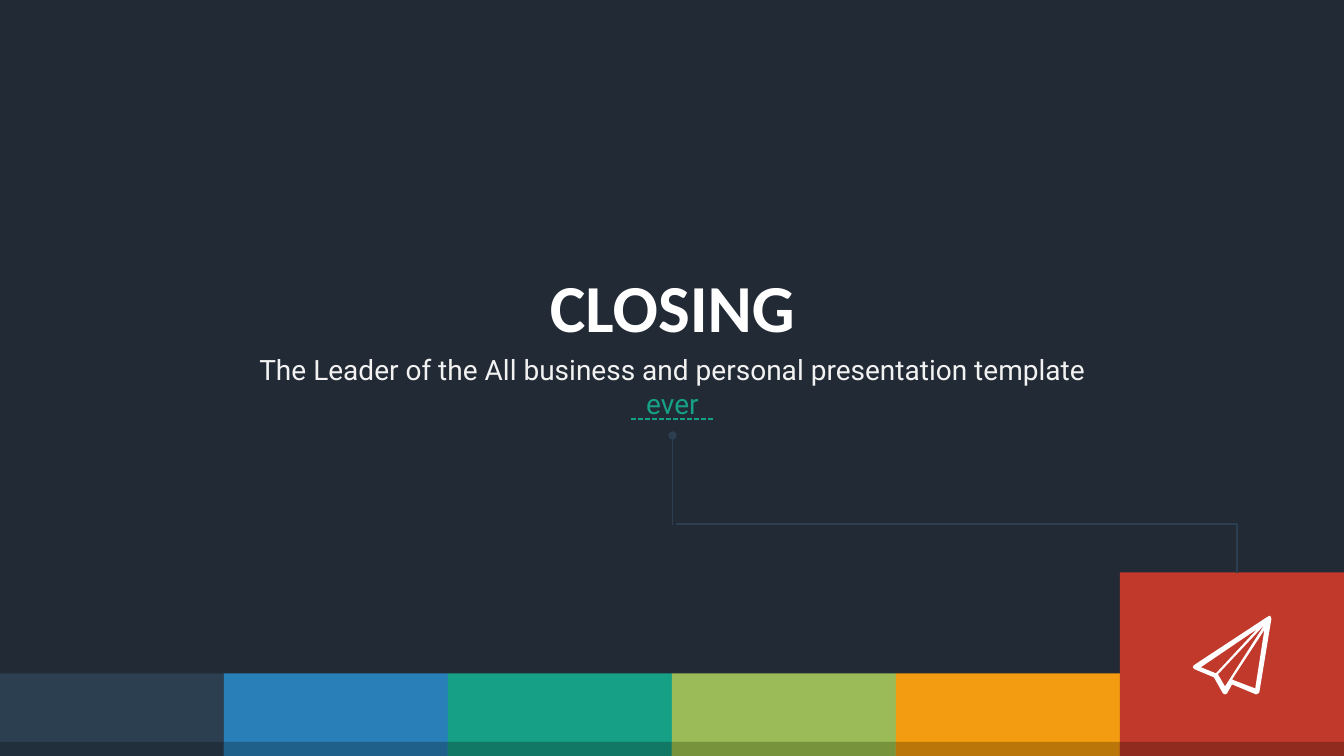
from lxml import etree
from pptx import Presentation
from pptx.dml.color import RGBColor
from pptx.enum.dml import MSO_LINE
from pptx.enum.shapes import MSO_CONNECTOR, MSO_SHAPE
from pptx.enum.text import MSO_AUTO_SIZE, PP_ALIGN
from pptx.oxml.ns import qn
from pptx.util import Inches, Pt

BACKGROUND = RGBColor(0x22, 0x2A, 0x35)
WHITE = RGBColor(0xFF, 0xFF, 0xFF)
OFF_WHITE = RGBColor(0xF2, 0xF2, 0xF2)
NAVY = RGBColor(0x2C, 0x3F, 0x50)
TEAL = RGBColor(0x16, 0xA0, 0x85)
RED = RGBColor(0xC0, 0x39, 0x2B)
TILES = [
    (NAVY, RGBColor(0x21, 0x2F, 0x3C)),
    (RGBColor(0x29, 0x80, 0xB9), RGBColor(0x1F, 0x60, 0x8B)),
    (TEAL, RGBColor(0x10, 0x78, 0x64)),
    (RGBColor(0x9B, 0xBB, 0x59), RGBColor(0x77, 0x93, 0x3C)),
    (RGBColor(0xF3, 0x9C, 0x12), RGBColor(0xBA, 0x76, 0x09)),
    (RED, RGBColor(0x90, 0x2B, 0x20)),
]

deck = Presentation()
deck.slide_width = Inches(13.33)
deck.slide_height = Inches(7.5)
page = deck.slides.add_slide(deck.slide_layouts[6])
page.background.fill.solid()
page.background.fill.fore_color.rgb = BACKGROUND


def paint(shape, color):
    shape.shadow.inherit = False
    shape.fill.solid()
    shape.fill.fore_color.rgb = color
    shape.line.fill.background()


tile_width = 13.33 / len(TILES)
for index, (color, shade) in enumerate(TILES):
    tile_top = 5.68 if color == RED else 6.68
    for top, bottom, fill in ((tile_top, 7.62, color), (7.36, 7.51, shade)):
        tile = page.shapes.add_shape(
            MSO_SHAPE.RECTANGLE, Inches(index * tile_width), Inches(top),
            Inches(tile_width), Inches(bottom - top))
        paint(tile, fill)

LINES = [
    (6.7, 5.2, 12.27, 5.2, NAVY),
    (12.27, 5.2, 12.27, 5.68, NAVY),
    (6.67, 4.32, 6.67, 5.21, NAVY),
    (6.26, 4.16, 7.07, 4.16, TEAL),
]
for x1, y1, x2, y2, color in LINES:
    line = page.shapes.add_connector(
        MSO_CONNECTOR.STRAIGHT, Inches(x1), Inches(y1), Inches(x2), Inches(y2))
    line.line.color.rgb = color
    line.line.width = Pt(1.25)
    if color == TEAL:
        line.line.dash_style = MSO_LINE.SQUARE_DOT
    if y1 == 4.32:
        etree.SubElement(line.line._get_or_add_ln(), qn("a:headEnd"), type="oval")
    etree.SubElement(line._element.spPr, qn("a:effectLst"))

TEXTS = [
    ((5.34, 2.58, 2.66, 0.91), False, "Calibri", 48, True, [("CLOSING", WHITE)]),
    ((2.33, 3.45, 8.68, 0.44), True, "Roboto", 20, False, [
        ("The Leader of the All business and personal presentation template ", OFF_WHITE),
        ("ever", TEAL)]),
]
for place, wrap, font, size, bold, spans in TEXTS:
    box = page.shapes.add_textbox(*map(Inches, place))
    box.text_frame.word_wrap = wrap
    box.text_frame.auto_size = MSO_AUTO_SIZE.SHAPE_TO_FIT_TEXT
    para = box.text_frame.paragraphs[0]
    para.alignment = PP_ALIGN.CENTER
    for text, color in spans:
        span = para.add_run()
        span.text = text
        span.font.name = font
        span.font.size = Pt(size)
        span.font.bold = bold
        span.font.color.rgb = color

PLANE = [
    (1260, 611), (1259, 611), (1257, 612), (1184, 660), (1183, 662),
    (1185, 664), (1204, 672), (1213, 688), (1215, 689), (1217, 688),
    (1222, 679), (1246, 689), (1248, 688), (1249, 687), (1261, 614),
]
FOLDS = [
    [(1191, 662), (1247, 624), (1206, 668)],
    [(1208, 669), (1254, 620), (1215, 681)],
    [(1245, 683), (1224, 675), (1222, 674), (1254, 625)],
]
builder = page.shapes.build_freeform(*PLANE[0], scale=Inches(0.01))
builder.add_line_segments(PLANE[1:], close=True)
for fold in FOLDS:
    builder.move_to(*fold[0])
    builder.add_line_segments(fold[1:], close=True)
paint(builder.convert_to_shape(), WHITE)

deck.save("out.pptx")
